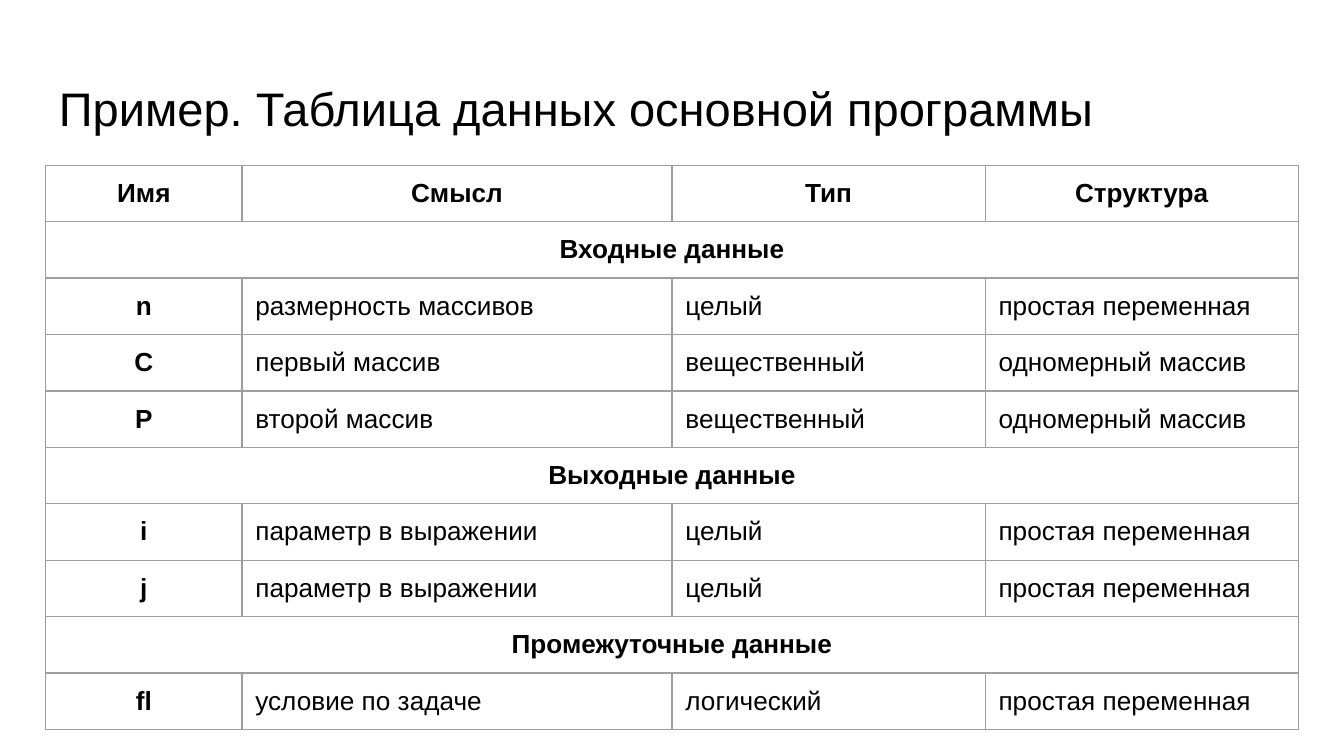
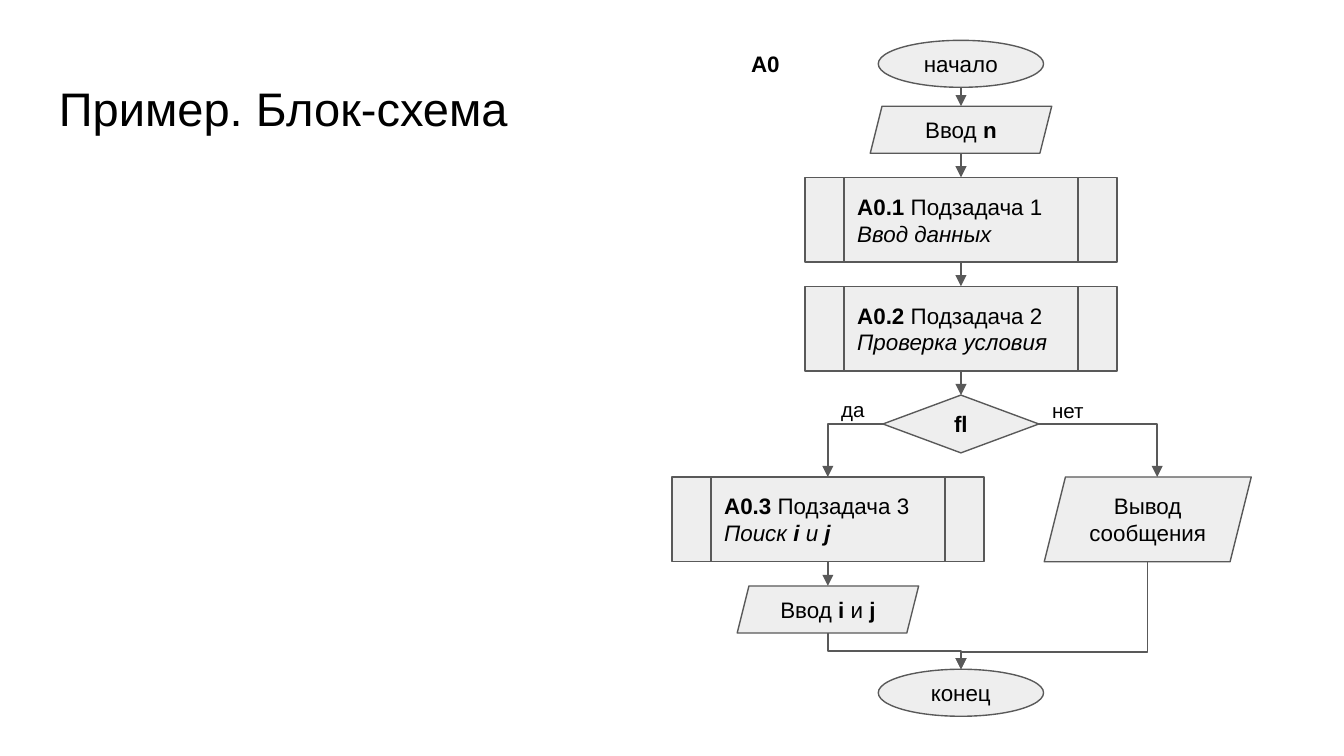
from lxml import etree
from pptx import Presentation
from pptx.dml.color import RGBColor
from pptx.enum.shapes import MSO_CONNECTOR, MSO_SHAPE
from pptx.enum.text import MSO_ANCHOR, PP_ALIGN
from pptx.oxml.ns import qn
from pptx.util import Inches, Pt

OVAL = MSO_SHAPE.OVAL
DATA = MSO_SHAPE.PARALLELOGRAM
TASK = MSO_SHAPE.FLOWCHART_PREDEFINED_PROCESS
TEST = MSO_SHAPE.DIAMOND
LINE, ELBOW = MSO_CONNECTOR.STRAIGHT, MSO_CONNECTOR.ELBOW
LEFT, CENTER = PP_ALIGN.LEFT, PP_ALIGN.CENTER
MIDDLE = MSO_ANCHOR.MIDDLE

COLORS = {"text": "000000", "fill": "EEEEEE", "line": "595959", "grid": "9E9E9E"}
FONT = "Arial"
PAD = Inches(0.1)
EDGE = 0.34
TOP, BOTTOM = 0, 2

# Table columns, and rows: a single value is a heading across the table
WIDTHS = [1.46, 3.2, 2.33, 2.33]
ROW = 0.42
ROWS = [
    ["Имя", "Смысл", "Тип", "Структура"],
    ["Входные данные"],
    ["n", "размерность массивов", "целый", "простая переменная"],
    ["C", "первый массив", "вещественный", "одномерный массив"],
    ["P", "второй массив", "вещественный", "одномерный массив"],
    ["Выходные данные"],
    ["i", "параметр в выражении", "целый", "простая переменная"],
    ["j", "параметр в выражении", "целый", "простая переменная"],
    ["Промежуточные данные"],
    ["fl", "условие по задаче", "логический", "простая переменная"],
]

# Flowchart: centre lines and block sizes
MID, YES, NO = 7.15, 6.16, 8.54
SIZES = {OVAL: (1.23, 0.35), DATA: (1.35, 0.35), TASK: (2.32, 0.63), TEST: (1.16, 0.43)}


def rgb(name):
    return RGBColor.from_string(COLORS[name])


def write(frame, paras, size, align=LEFT):
    """Fill a frame; each paragraph is a list of (text, style), style of b and i."""
    frame.word_wrap = True
    frame.margin_left = frame.margin_right = PAD
    frame.margin_top = frame.margin_bottom = PAD
    for num, runs in enumerate(paras):
        para = frame.add_paragraph() if num else frame.paragraphs[0]
        para.alignment = align
        font = para.font
        font.name, font.size = FONT, Pt(size)
        font.color.rgb = rgb("text")
        styles = {style for _, style in runs}
        for text, style in runs:
            run = para.add_run()
            run.text = text
            target = font if len(styles) == 1 else run.font
            target.bold, target.italic = "b" in style, "i" in style


def label(slide, box, text, size, style=""):
    shape = slide.shapes.add_textbox(*map(Inches, box))
    write(shape.text_frame, [[(text, style)]], size)


def title(slide, text, width):
    label(slide, (EDGE, 0.49, width, 0.63), text, 25.2)


def border(cell):
    props = cell._tc.get_or_add_tcPr()
    for side in "LRTB":
        line = etree.SubElement(props, qn(f"a:ln{side}"), w=str(Pt(0.75)))
        fill = etree.SubElement(line, qn("a:solidFill"))
        etree.SubElement(fill, qn("a:srgbClr"), val=COLORS["grid"])


def grid(slide, rows):
    table = slide.shapes.add_table(
        len(rows), len(WIDTHS), Inches(EDGE), Inches(1.23),
        Inches(sum(WIDTHS)), Inches(ROW * len(rows))).table
    table.first_row = table.horz_banding = False
    for col, width in zip(table.columns, WIDTHS):
        col.width = Inches(width)
    for r, values in enumerate(rows):
        table.rows[r].height = Inches(ROW)
        for c in range(len(WIDTHS)):
            border(table.cell(r, c))
            table.cell(r, c).fill.background()
        if len(values) == 1:
            table.cell(r, 0).merge(table.cell(r, len(WIDTHS) - 1))
        for c, text in enumerate(values):
            head = r == 0 or c == 0
            cell = table.cell(r, c)
            write(cell.text_frame, [[(text, "b" if head else "")]], 14,
                  CENTER if head else LEFT)
            cell.margin_left = cell.margin_right = cell.margin_top = PAD
            # A little less below, so that the text fits the row
            cell.margin_bottom = Inches(0.08)


def block(slide, kind, x, top, paras, size=None):
    """Flowchart block centred on x."""
    wide, high = size or SIZES[kind]
    shape = slide.shapes.add_shape(
        kind, Inches(x - wide / 2), Inches(top), Inches(wide), Inches(high))
    shape.shadow.inherit = False
    shape.fill.solid()
    shape.fill.fore_color.rgb = rgb("fill")
    shape.line.color.rgb = rgb("line")
    shape.line.width = Pt(0.75)
    write(shape.text_frame, paras, 12, LEFT if kind == TASK else CENTER)
    shape.text_frame.vertical_anchor = MIDDLE
    return shape


def task(slide, x, top, num, runs):
    first = [(f"A0.{num}", "b"), (f" Подзадача {num}", "")]
    return block(slide, TASK, x, top, [first, runs])


def spot(shape, side):
    """Middle of the top or bottom side."""
    drop = shape.height if side == BOTTOM else 0
    return shape.left + shape.width // 2, shape.top + drop


def link(slide, kind, start, end):
    line = slide.shapes.add_connector(kind, *start, *end)
    line.line.color.rgb = rgb("line")
    line.line.width = Pt(0.75)
    etree.SubElement(line.line._get_or_add_ln(), qn("a:tailEnd"), type="triangle")
    etree.SubElement(line._element.spPr, qn("a:effectLst"))
    return line


def arrow(slide, upper, lower):
    line = link(slide, LINE, spot(upper, BOTTOM), spot(lower, TOP))
    if upper.auto_shape_type in (TASK, TEST):
        line.begin_connect(upper, BOTTOM)
    if lower.auto_shape_type in (TASK, TEST):
        line.end_connect(lower, TOP)


def branch(slide, start, end):
    """Arrow that runs across, then down."""
    line = link(slide, ELBOW, start, end)
    line._element.spPr.find(qn("a:prstGeom")).set("prst", "bentConnector2")


def merge(slide, upper, lower, bend):
    """Arrow that runs down, across and down, turning at a share of the drop."""
    (x1, y1), (x2, y2) = spot(upper, BOTTOM), spot(lower, TOP)
    wide, high = y2 - y1, abs(x2 - x1)
    left, top = (x1 + x2 - wide) // 2, (y1 + y2 - high) // 2
    start, end = (left, top), (left + wide, top + high)
    right = x2 > x1
    if right:
        start, end = (left + wide, top), (left, top + high)
    props = link(slide, ELBOW, start, end)._element.spPr
    props.find(qn("a:xfrm")).set("rot", str((270 if right else 90) * 60000))
    guides = props.find(qn("a:prstGeom")).get_or_add_avLst()
    etree.SubElement(guides, qn("a:gd"), name="adj1",
                     fmla=f"val {round(bend * 100000)}")


def chart(slide):
    # Blocks
    start = block(slide, OVAL, MID, 0.3, [[("начало", "")]])
    enter = block(slide, DATA, MID, 0.79, [[("Ввод ", ""), ("n", "b")]])
    read = task(slide, MID, 1.32, 1, [("Ввод данных", "i")])
    check = task(slide, MID, 2.13, 2, [("Проверка условия", "i")])
    test = block(slide, TEST, MID, 2.94, [[("fl", "b")]])
    find = task(slide, YES, 3.55, 3,
                [("Поиск ", "i"), ("i", "bi"), (" и ", "i"), ("j", "bi")])
    show = block(slide, DATA, YES, 4.36,
                 [[("Ввод ", ""), ("i", "b"), (" и ", ""), ("j", "b")]])
    warn = block(slide, DATA, NO, 3.55,
                 [[("Вывод", "")], [("сообщения", "")]], (1.54, 0.63))
    end = block(slide, OVAL, MID, 4.98, [[("конец", "")]])

    # Arrows
    main_path = [start, enter, read, check, test]
    for upper, lower in [*zip(main_path, main_path[1:]), (find, show)]:
        arrow(slide, upper, lower)
    level = test.top + test.height // 2
    branch(slide, (test.left, level), spot(find, TOP))
    branch(slide, (test.left + test.width, level), (Inches(8.61), warn.top))
    merge(slide, show, end, 0.5)
    merge(slide, warn, end, 0.84)

    # Labels
    label(slide, (7.73, 2.87, 0.51, 0.39), "нет", 11)
    label(slide, (6.16, 2.86, 0.51, 0.39), "да", 11)
    label(slide, (5.49, 0.27, 0.51, 0.4), "A0", 12, "b")


def main():
    deck = Presentation()
    deck.slide_width = Inches(10)
    deck.slide_height = deck.slide_width * 9 // 16
    blank = deck.slide_layouts[6]

    # Data table
    slide = deck.slides.add_slide(blank)
    title(slide, "Пример. Таблица данных основной программы", 9.32)
    grid(slide, ROWS)

    # Flowchart
    slide = deck.slides.add_slide(blank)
    title(slide, "Пример. Блок-схема", 3.55)
    chart(slide)

    deck.save("out.pptx")


if __name__ == "__main__":
    main()
